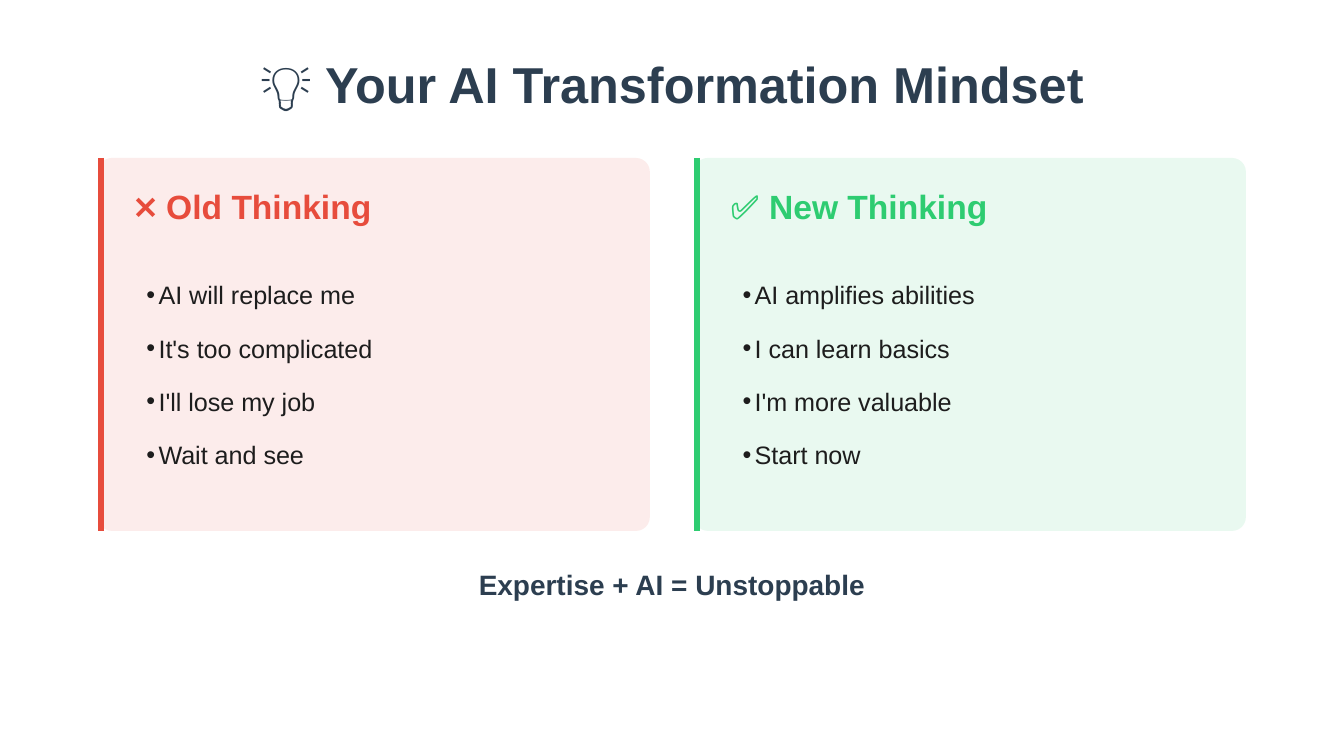
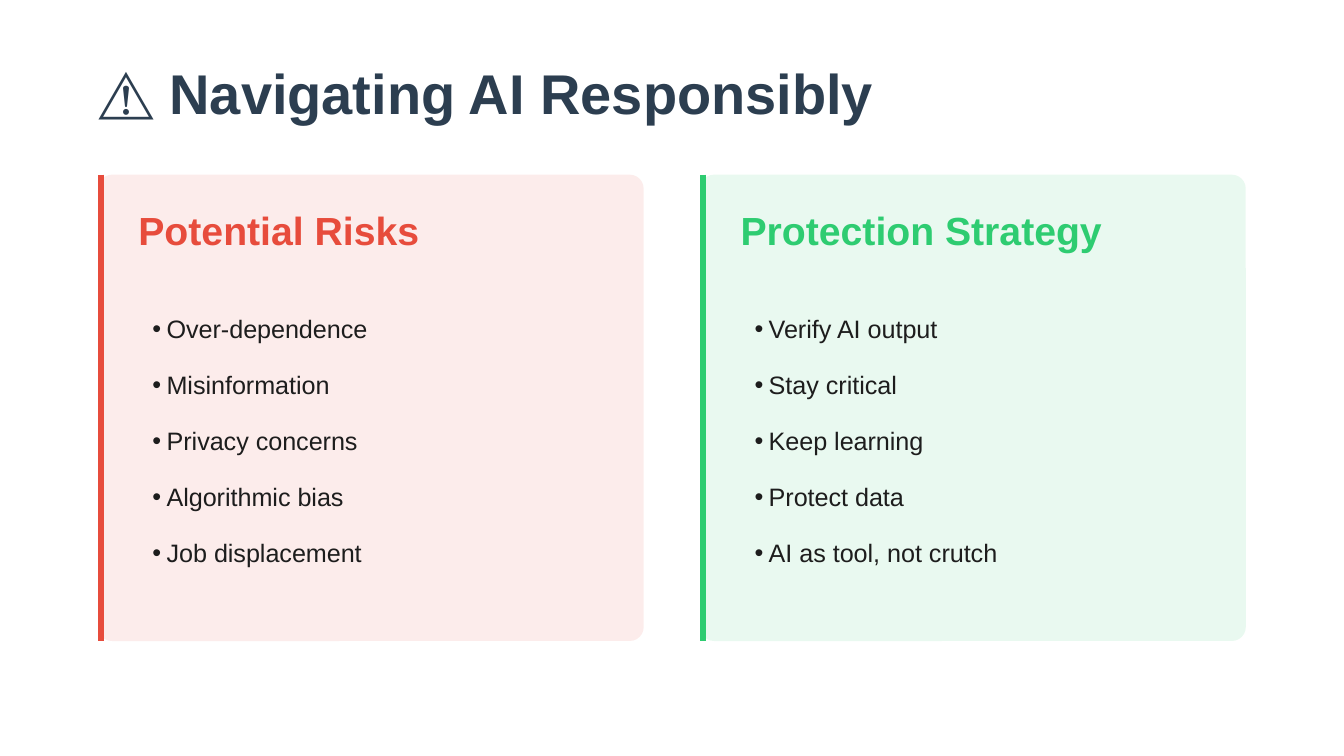
from dataclasses import dataclass

from lxml.etree import SubElement
from pptx import Presentation
from pptx.dml.color import RGBColor
from pptx.enum.shapes import MSO_CONNECTOR, MSO_SHAPE
from pptx.enum.text import PP_ALIGN
from pptx.oxml.ns import qn
from pptx.util import Emu, Pt

EMU_PER_PX = 4572
SLIDE_W, SLIDE_H = 2000, 1125
MARGIN = 146
FONT = "Arial"
NAVY, INK, RED, GREEN, WHITE = "2C3E50", "1D1D1D", "E74C3C", "2ECC71", "FFFFFF"


@dataclass
class CardStyle:
    top: int
    width: int
    height: int
    radius: float
    pad: int
    heading_top: int
    heading_height: int
    heading_size: float
    heading_leading: float
    heading_after: float
    list_top: int
    list_width: int
    list_height: int
    indent: int
    item_after: float


MINDSET = CardStyle(235, 821, 555, 0.037, 54, 281, 56, 18, 20, 12,
                    403, 720, 342, 18, 7.5)
RISKS = CardStyle(260, 812, 694, 0.03, 60, 312, 64, 21, 23.3, 15,
                  453, 700, 450, 21, 9)


def px(n):
    return Emu(n * EMU_PER_PX)


def rgb(value):
    return RGBColor.from_string(value)


def add_slide(prs):
    s = prs.slides.add_slide(prs.slide_layouts[6])
    s.background.fill.solid()
    s.background.fill.fore_color.rgb = rgb(WHITE)
    return s


def set_bullet(p, indent):
    pPr = p._p.get_or_add_pPr()
    pPr.set("marL", str(px(indent)))
    pPr.set("indent", str(-px(indent)))
    SubElement(pPr, qn("a:buSzPct")).set("val", "100000")
    SubElement(pPr, qn("a:buFont")).set("typeface", FONT)
    SubElement(pPr, qn("a:buChar")).set("char", "•")


def add_text(s, box, lines, size, color, leading, after=0, before=0,
             bold=True, align=PP_ALIGN.LEFT, indent=0):
    tf = s.shapes.add_textbox(*map(px, box)).text_frame
    tf.word_wrap = True
    tf.margin_left = px(indent)
    tf.margin_top = tf.margin_right = tf.margin_bottom = 0
    for i, line in enumerate(lines):
        p = tf.add_paragraph() if i else tf.paragraphs[0]
        p.alignment = align
        p.line_spacing = Pt(leading)
        p.space_before = Pt(before)
        p.space_after = Pt(after)
        if indent:
            set_bullet(p, indent)
        r = p.add_run()
        r.text = line
        r.font.name = FONT
        r.font.size = Pt(size)
        r.font.bold = bold
        r.font.color.rgb = rgb(color)


def add_panel(s, left, style, color):
    sp = s.shapes.add_shape(MSO_SHAPE.ROUNDED_RECTANGLE, px(left), px(style.top),
                            px(style.width), px(style.height))
    sp.adjustments[0] = style.radius
    sp.shadow.inherit = False
    sp.line.fill.background()
    sp.fill.solid()
    sp.fill.fore_color.rgb = rgb(color)
    srgb = sp._element.spPr.find(qn("a:solidFill")).find(qn("a:srgbClr"))
    SubElement(srgb, qn("a:alpha")).set("val", "10000")


def add_accent(s, x, top, bottom, color):
    line = s.shapes.add_connector(MSO_CONNECTOR.STRAIGHT,
                                  px(x), px(top), px(x), px(bottom))
    line.line.color.rgb = rgb(color)
    line.line.width = Pt(3)
    SubElement(line._element.spPr, qn("a:effectLst"))


def add_card(s, left, style, color, heading, heading_width, items):
    add_panel(s, left, style, color)
    add_accent(s, left + 4, style.top, style.top + style.height, color)
    x = left + style.pad
    add_text(s, (x, style.heading_top, heading_width, style.heading_height),
             [heading], style.heading_size, color, style.heading_leading,
             style.heading_after)
    add_text(s, (x, style.list_top, style.list_width, style.list_height), items,
             13.5, INK, 21, style.item_after, bold=False, indent=style.indent)


def add_card_pair(s, style, negative, positive):
    add_card(s, MARGIN, style, RED, *negative)
    add_card(s, SLIDE_W - MARGIN - style.width, style, GREEN, *positive)


def build_mindset(prs):
    s = add_slide(prs)
    add_text(s, (366, 94, 1268, 76), ["💡 Your AI Transformation Mindset"],
             27, NAVY, 27, after=24, align=PP_ALIGN.CENTER)
    add_card_pair(
        s, MINDSET,
        ("❌ Old Thinking", 392, ["AI will replace me", "It's too complicated",
                                 "I'll lose my job", "Wait and see"]),
        ("✅ New Thinking", 410, ["AI amplifies abilities", "I can learn basics",
                                 "I'm more valuable", "Start now"]))
    add_text(s, (129, 836, 1742, 58), ["Expertise + AI = Unstoppable"],
             15, NAVY, 21, after=3, before=16.5, align=PP_ALIGN.CENTER)


def build_risks(prs):
    s = add_slide(prs)
    add_text(s, (MARGIN, 104, 1200, 84), ["⚠️ Navigating AI Responsibly"],
             30, NAVY, 30, after=26.2)
    add_card_pair(
        s, RISKS,
        ("Potential Risks", 428, ["Over-dependence", "Misinformation",
                                  "Privacy concerns", "Algorithmic bias",
                                  "Job displacement"]),
        ("Protection Strategy", 550, ["Verify AI output", "Stay critical",
                                      "Keep learning", "Protect data",
                                      "AI as tool, not crutch"]))


def main():
    prs = Presentation()
    prs.slide_width, prs.slide_height = px(SLIDE_W), px(SLIDE_H)
    build_mindset(prs)
    build_risks(prs)
    prs.save("out.pptx")


if __name__ == "__main__":
    main()
